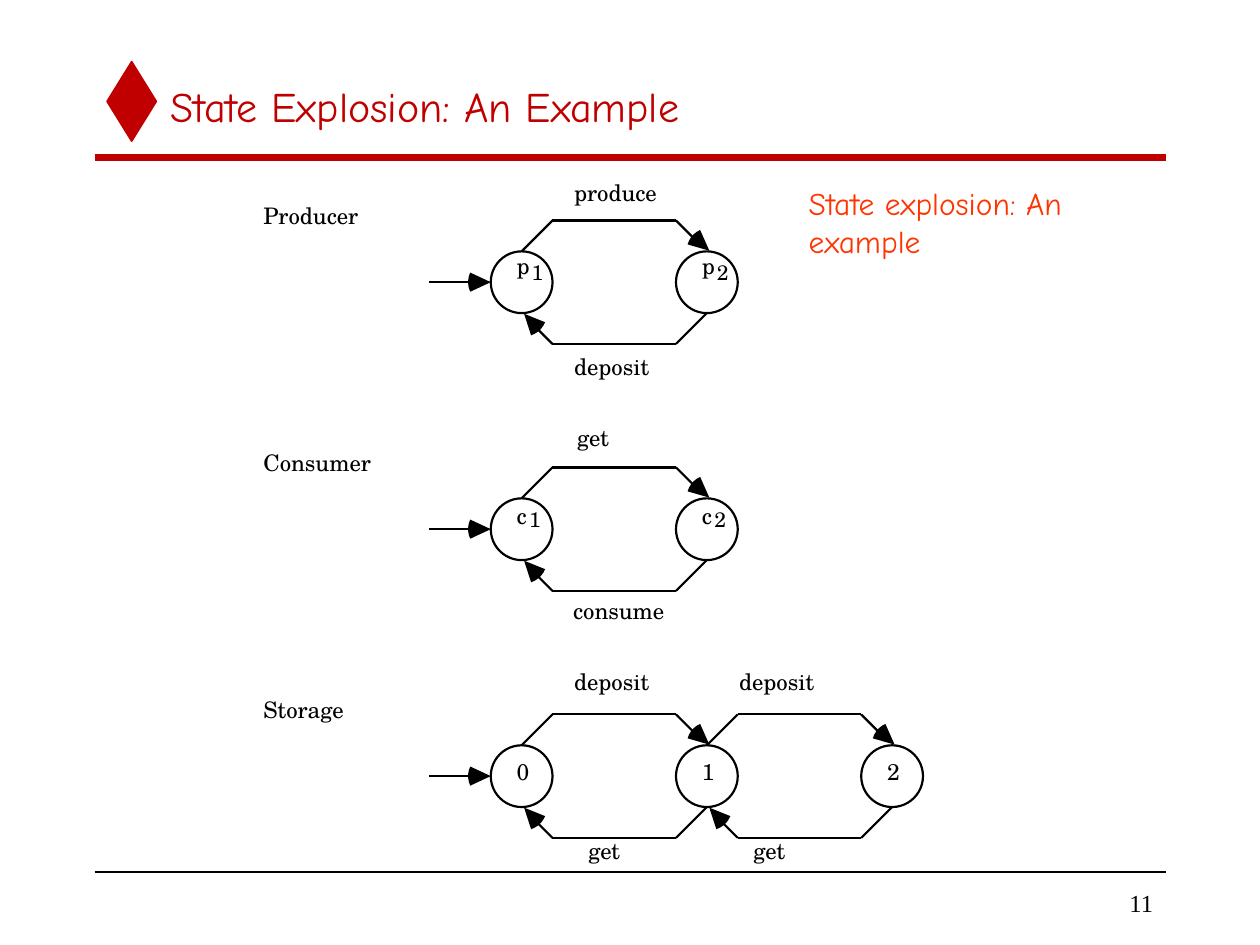
from dataclasses import dataclass
from math import cos, sin, radians
from lxml.etree import SubElement
from pptx import Presentation
from pptx.dml.color import RGBColor
from pptx.enum.shapes import MSO_CONNECTOR, MSO_SHAPE
from pptx.enum.text import MSO_ANCHOR, MSO_AUTO_SIZE, PP_ALIGN
from pptx.oxml.ns import qn
from pptx.util import Inches, Pt


@dataclass(frozen=True)
class Theme:
    red: str = "C00000"
    accent: str = "FF3300"
    black: str = "000000"
    white: str = "FFFFFF"
    hand: str = "Comic Neue"
    book: str = "TeX Gyre Schola"
    serif: str = "Times New Roman"
    title: float = 24
    note: float = 18
    page: float = 14
    label: float = 13
    sub: float = 12
    stroke: float = 1.25


T = Theme()
WIDTH, HEIGHT = 10, 7.5
UNIT = 0.245  # grid step of the state diagrams; a state is two units wide
STEP = 6      # columns from state to state
ROWS = 8      # rows from machine to machine

# name, states, top labels, their (column, row), bottom labels,
# their (column, row), row of the state names
MACHINES = [
    ("Producer", [("p", "1"), ("p", "2")],
     ["produce"], (1.7, -3.35), ["deposit"], (1.7, 2.3), -0.98),
    ("Consumer", [("c", "1"), ("c", "2")],
     ["get"], (1.8, -3.43), ["consume"], (1.67, 2.2), -0.9),
    ("Storage", [("0", ""), ("1", ""), ("2", "")],
     ["deposit", "deposit"], (1.7, -3.5), ["get", "get"], (2.16, 1.96), -0.6),
]


def color(code):
    return RGBColor.from_string(code)


def style(frame, size, font, code, align=PP_ALIGN.LEFT):
    for para in frame.paragraphs:
        para.alignment = align
        for run in para.runs:
            run.font.size = Pt(size)
            run.font.name = font
            run.font.color.rgb = color(code)


def write(slide, box, text, size, font, code, pad=(0, 0), align=PP_ALIGN.LEFT):
    frame = slide.shapes.add_textbox(*map(Inches, box)).text_frame
    frame.word_wrap = False
    frame.margin_left = frame.margin_right = Inches(pad[0])
    frame.margin_top = frame.margin_bottom = Inches(pad[1])
    frame.text = text
    style(frame, size, font, code, align)
    return frame


def label(slide, x, y, text, size=T.label):
    frame = write(slide, (x, y, 0.11 * len(text), size / 60), text, size,
                  T.book, T.black)
    frame.auto_size = MSO_AUTO_SIZE.SHAPE_TO_FIT_TEXT


def line(slide, start, end, code=T.black, width=T.stroke):
    link = slide.shapes.add_connector(
        MSO_CONNECTOR.STRAIGHT, *map(Inches, (*start, *end)))
    link.line.color.rgb = color(code)
    link.line.width = Pt(width)
    SubElement(link._element.spPr, qn("a:effectLst"))


def shape(slide, kind, box, fill, edge, width):
    item = slide.shapes.add_shape(kind, *map(Inches, box))
    item.shadow.inherit = False
    item.fill.solid()
    item.fill.fore_color.rgb = color(fill)
    item.line.color.rgb = color(edge)
    item.line.width = Pt(width)


def head(slide, x, y, angle):
    """Arrowhead with its tip at x, y and a rounded back towards the angle."""
    arc = [(Inches(x + 0.18 * cos(radians(angle + turn))),
            Inches(y + 0.18 * sin(radians(angle + turn))))
           for turn in range(-25, 26, 10)]
    pen = slide.shapes.build_freeform(Inches(x), Inches(y))
    pen.add_line_segments(arc, close=True)
    item = pen.convert_to_shape()
    item.shadow.inherit = False
    item.fill.solid()
    item.fill.fore_color.rgb = color(T.black)
    item.line.fill.background()


def state(slide, x, y, name, sub, rise):
    shape(slide, MSO_SHAPE.OVAL, (x - UNIT, y - UNIT, 2 * UNIT, 2 * UNIT),
          T.white, T.black, T.stroke)
    label(slide, x - 0.04, y + rise * UNIT, name)
    if sub:
        gap = 0.08 if name == "p" else 0.06
        label(slide, x + gap, y - 0.18, sub, T.sub)


def loop(slide, x, y):
    """Arrows over and under, between the state at x, y and the next one."""
    mid = x + STEP / 2 * UNIT
    for side, angle in ((1, 221), (-1, 47)):
        route = [(mid + side * col * UNIT, y + side * row * UNIT)
                 for col, row in ((-3, -1), (-2, -2), (2, -2), (2.6, -1.4))]
        for start, end in zip(route, route[1:]):
            line(slide, start, end)
        head(slide, mid + side * 3 * UNIT + 0.02, y - side * 0.25, angle)


def machine(slide, x, y, name, states, tops, above, bottoms, below, rise):
    """State machine whose first state has its centre at x, y."""
    label(slide, x - 2.05, y - 0.64, name)
    line(slide, (x - 3 * UNIT, y), (x - 0.4, y))
    head(slide, x - UNIT, y, 180)
    for i, (letter, sub) in enumerate(states):
        state(slide, x + i * STEP * UNIT, y, letter, sub, rise)
    for i in range(len(states) - 1):
        loop(slide, x + i * STEP * UNIT, y)
    for words, (col, row) in ((tops, above), (bottoms, below)):
        for i, word in enumerate(words):
            label(slide, x + col * UNIT + i * 1.31, y + row * UNIT, word)


def header(slide, left, top, width, height):
    shape(slide, MSO_SHAPE.DIAMOND, (left + 0.1, top, 0.39, 0.63),
          T.red, T.red, 1)
    title = slide.shapes.title
    title.left, title.top = Inches(left + 0.5), Inches(top + 0.01)
    title.width, title.height = Inches(width - 0.5), Inches(0.67)
    frame = title.text_frame
    frame.text = "State Explosion: An Example"
    frame.auto_size = MSO_AUTO_SIZE.NONE
    frame.vertical_anchor = MSO_ANCHOR.MIDDLE
    style(frame, T.title, T.hand, T.red)
    line(slide, (left, top + height), (left + width, top + height), T.red, 4)


def footer(slide, left, top, width):
    line(slide, (left, top), (left + width, top), T.black, 1)
    frame = write(slide, (left + width - 1.42, top + 0.08, 1.42, 0.33), "11",
                  T.page, T.serif, T.black, (0.1, 0.05), PP_ALIGN.RIGHT)
    frame.vertical_anchor = MSO_ANCHOR.MIDDLE


def main():
    deck = Presentation()
    deck.slide_width, deck.slide_height = Inches(WIDTH), Inches(HEIGHT)
    slide = deck.slides.add_slide(deck.slide_layouts[5])
    left, width = 0.075 * WIDTH, 0.85 * WIDTH
    header(slide, left, 0.49, width, 0.76)
    for i, parts in enumerate(MACHINES):
        machine(slide, 4.14, 2.24 + i * ROWS * UNIT, *parts)
    write(slide, (6.32, 1.41, 2.22, 0.7), "State explosion: An\nexample",
          T.note, T.hand, T.accent, (0.1, 0.05))
    footer(slide, left, 6.92, width)
    deck.save("out.pptx")


if __name__ == "__main__":
    main()
